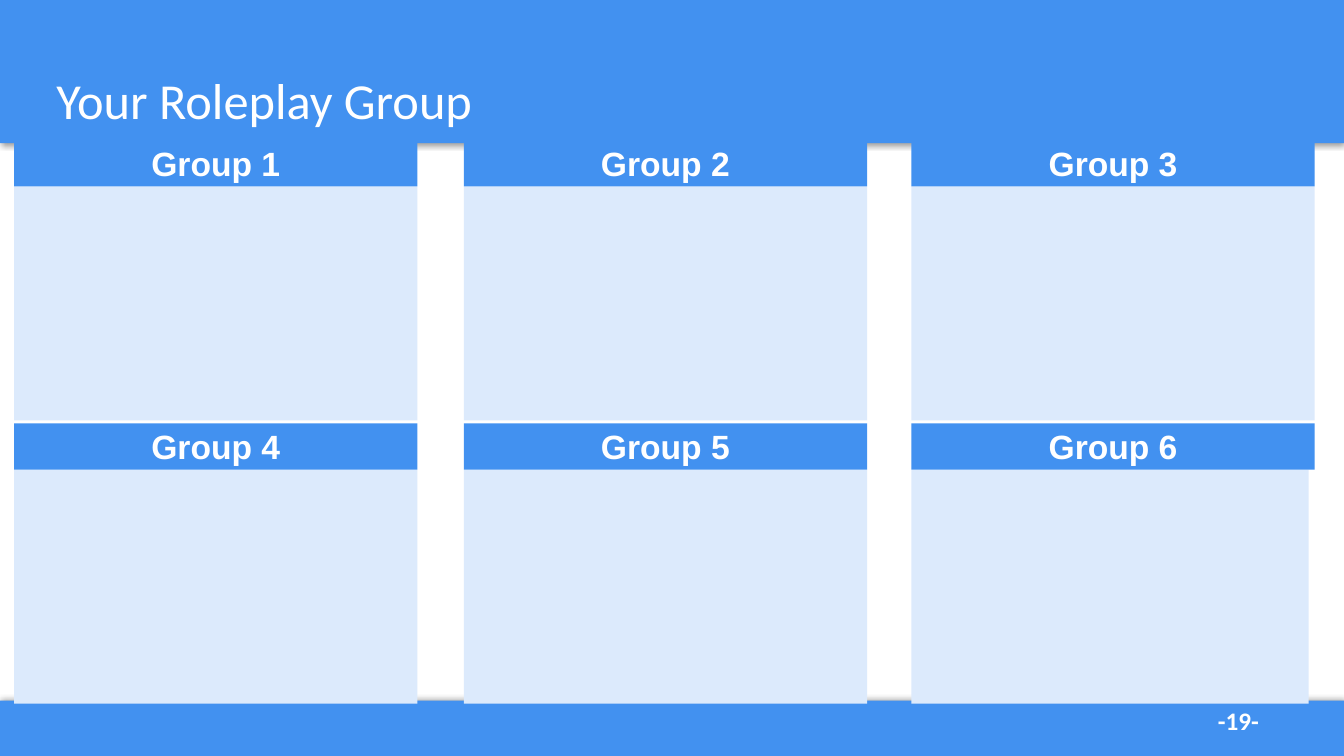
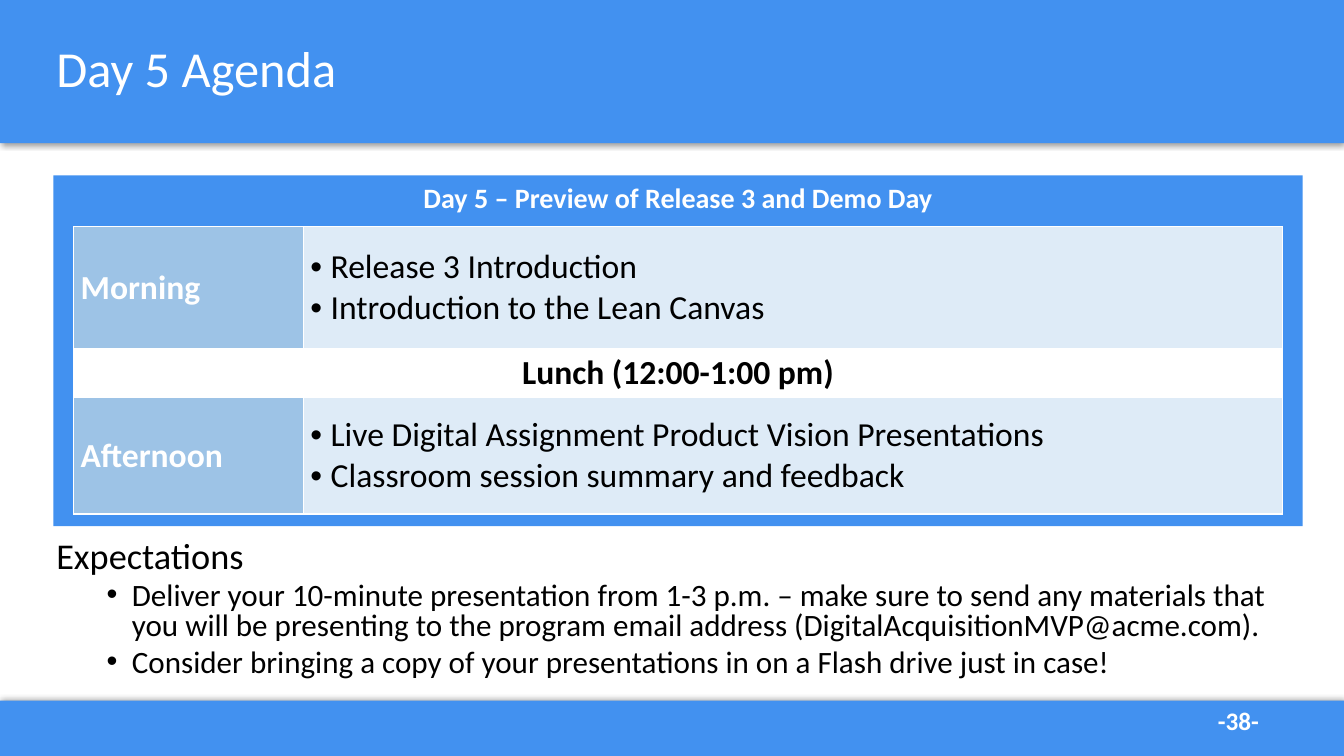
from lxml import etree
from pptx import Presentation
from pptx.dml.color import RGBColor
from pptx.enum.shapes import MSO_SHAPE
from pptx.enum.text import MSO_ANCHOR, PP_ALIGN
from pptx.oxml.ns import qn
from pptx.util import Inches, Pt

RECT = MSO_SHAPE.RECTANGLE
TOP, MIDDLE = MSO_ANCHOR.TOP, MSO_ANCHOR.MIDDLE
LEFT, CENTER = PP_ALIGN.LEFT, PP_ALIGN.CENTER

BLUE = RGBColor(0x42, 0x91, 0xF0)
PALE = RGBColor(0xDC, 0xEA, 0xFC)
SLOT = RGBColor(0x9D, 0xC3, 0xE6)
ITEMS = RGBColor(0xDE, 0xEB, 0xF7)
WHITE = RGBColor(0xFF, 0xFF, 0xFF)
BLACK = RGBColor(0, 0, 0)
BODY_FONT, GROUP_FONT = "Calibri", "Arial"

# Content
GROUP_TITLE, GROUP_PAGE = "Your Roleplay Group", "-19-"
GROUP_ROWS = [
    ["Group 1", "Group 2", "Group 3"],
    ["Group 4", "Group 5", "Group 6"],
]
AGENDA_TITLE, AGENDA_PAGE = "Day 5 Agenda", "-38-"
AGENDA_HEADING = "Day 5 – Preview of Release 3 and Demo Day"
LUNCH = "Lunch (12:00-1:00 pm)"
AGENDA = {
    "Morning": ["Release 3 Introduction", "Introduction to the Lean Canvas"],
    "Afternoon": ["Live Digital Assignment Product Vision Presentations",
                  "Classroom session summary and feedback"],
}
EXPECTATIONS = [
    "Deliver your 10-minute presentation from 1-3 p.m. – make sure to send any "
    "materials that you will be presenting to the program email address "
    "(DigitalAcquisitionMVP@acme.com).",
    "Consider bringing a copy of your presentations in on a Flash drive just in case!",
]

# Layout, in inches
SLIDE_W, SLIDE_H = 13.33, 7.5
HEADER_H, FOOTER_Y = 1.42, 6.95
GROUP_W, LABEL_H, GROUP_BODY_H = 4, 0.46, 2.32
GROUP_XS, GROUP_YS = [0.14, 4.6, 9.04], [1.39, 4.2]
LAST_GROUP_W = 3.94
AGENDA_COLS, AGENDA_ROWS = [2.28, 9.71], [1.21, 0.41, 1.16]


def add_text(tf, lines, size=24, font=BODY_FONT, color=BLACK, bold=False,
             align=LEFT, anchor=TOP, spacing=None, before=0,
             indent=0, hang=0, bullet=None, append=False):
    """Write one paragraph per line, all in the same format."""
    tf.word_wrap = True
    tf.vertical_anchor = anchor
    for i, line in enumerate(lines):
        p = tf.add_paragraph() if append or i else tf.paragraphs[0]
        p.alignment = align
        p.space_before = Pt(before)
        if spacing:
            p.line_spacing = spacing
        r = p.add_run()
        r.text = line
        r.font.name, r.font.size, r.font.bold = font, Pt(size), bold
        r.font.color.rgb = color
        pPr = p._p.get_or_add_pPr()
        if indent:
            pPr.set("marL", str(Inches(indent)))
            pPr.set("indent", str(-Inches(hang)))
        if bullet:
            etree.SubElement(pPr, qn("a:buFont"), typeface="Arial")
            etree.SubElement(pPr, qn("a:buChar"), char=bullet)


def add_box(s, x, y, w, h):
    return s.shapes.add_textbox(Inches(x), Inches(y), Inches(w), Inches(h)).text_frame


def add_rect(s, x, y, w, h, fill):
    sp = s.shapes.add_shape(RECT, Inches(x), Inches(y), Inches(w), Inches(h))
    sp.shadow.inherit = False
    sp.fill.solid()
    sp.fill.fore_color.rgb = fill
    sp.line.fill.background()
    return sp


def add_band(s, y, h, angle):
    """Full-width band with a soft shadow cast in the given direction."""
    sp = add_rect(s, 0, y, SLIDE_W, h, BLUE)
    effects = sp._element.spPr.find(qn("a:effectLst"))
    shadow = etree.SubElement(effects, qn("a:outerShdw"), blurRad=str(Pt(4)),
                              dist=str(Pt(1)), dir=str(angle * 60000), rotWithShape="0")
    color = etree.SubElement(shadow, qn("a:srgbClr"), val=str(BLACK))
    etree.SubElement(color, qn("a:alpha"), val="40000")


def add_slide(prs, title, page, title_y):
    s = prs.slides.add_slide(prs.slide_layouts[6])
    add_band(s, FOOTER_Y, SLIDE_H - FOOTER_Y, 270)
    add_band(s, 0, HEADER_H, 90)
    add_text(add_box(s, 11.98, FOOTER_Y, 0.98, 0.4), [page],
             size=18, color=WHITE, bold=True)
    add_text(add_box(s, 0.46, title_y, 12.42, 1.45), [title],
             size=36, color=WHITE, anchor=MIDDLE, spacing=0.9)
    return s


def style_cell(cell, fill):
    cell.margin_left = cell.margin_right = Inches(0.07)
    cell.margin_top = cell.margin_bottom = Inches(0.04)
    cell.fill.solid()
    cell.fill.fore_color.rgb = fill
    tcPr = cell._tc.get_or_add_tcPr()
    for i, side in enumerate(("lnL", "lnR", "lnT", "lnB")):
        ln = etree.Element(qn("a:" + side), w=str(Pt(1)))
        solid = etree.SubElement(ln, qn("a:solidFill"))
        etree.SubElement(solid, qn("a:srgbClr"), val=str(WHITE))
        tcPr.insert(i, ln)


def build_groups(prs):
    s = add_slide(prs, GROUP_TITLE, GROUP_PAGE, 0.3)
    for y, names in zip(GROUP_YS, GROUP_ROWS):
        for x, name in zip(GROUP_XS, names):
            body_w = LAST_GROUP_W if name == GROUP_ROWS[-1][-1] else GROUP_W
            add_rect(s, x, y + LABEL_H, body_w, GROUP_BODY_H, PALE)
            label = add_rect(s, x, y, GROUP_W, LABEL_H, BLUE)
            add_text(label.text_frame, [name], font=GROUP_FONT, color=WHITE,
                     bold=True, align=CENTER, anchor=MIDDLE)


def build_agenda(prs):
    s = add_slide(prs, AGENDA_TITLE, AGENDA_PAGE, -0.02)

    # Expectations
    tf = add_box(s, 0.46, 5.32, 12.42, 1.52)
    add_text(tf, ["Expectations"], size=25.9, spacing=0.8, before=10)
    add_text(tf, EXPECTATIONS, size=22.2, spacing=0.8, before=5,
             indent=0.75, hang=0.25, bullet="•", append=True)

    # Panel behind the timetable
    panel = add_rect(s, 0.53, 1.74, 12.39, 3.48, BLUE)
    add_text(panel.text_frame, [AGENDA_HEADING], size=20, color=WHITE,
             bold=True, align=CENTER)

    # Timetable
    table = s.shapes.add_table(
        len(AGENDA_ROWS), len(AGENDA_COLS), Inches(0.73), Inches(2.25),
        Inches(sum(AGENDA_COLS)), Inches(sum(AGENDA_ROWS))).table
    for col, w in zip(table.columns, AGENDA_COLS):
        col.width = Inches(w)
    for row, h in zip(table.rows, AGENDA_ROWS):
        row.height = Inches(h)
    for row, (slot, items) in zip((0, 2), AGENDA.items()):
        slot_cell, item_cell = table.cell(row, 0), table.cell(row, 1)
        style_cell(slot_cell, SLOT)
        style_cell(item_cell, ITEMS)
        add_text(slot_cell.text_frame, [slot], color=WHITE, bold=True)
        add_text(item_cell.text_frame, items, indent=0.2, hang=0.2, bullet="•")
        slot_cell.vertical_anchor = item_cell.vertical_anchor = MIDDLE
    lunch = table.cell(1, 0)
    lunch.merge(table.cell(1, 1))
    for cell in (lunch, table.cell(1, 1)):
        style_cell(cell, WHITE)
    add_text(lunch.text_frame, [LUNCH], bold=True, align=CENTER, indent=0.1, hang=0.1)
    lunch.vertical_anchor = MIDDLE


def main():
    prs = Presentation()
    prs.slide_width, prs.slide_height = Inches(SLIDE_W), Inches(SLIDE_H)
    build_groups(prs)
    build_agenda(prs)
    prs.save("out.pptx")


if __name__ == "__main__":
    main()
